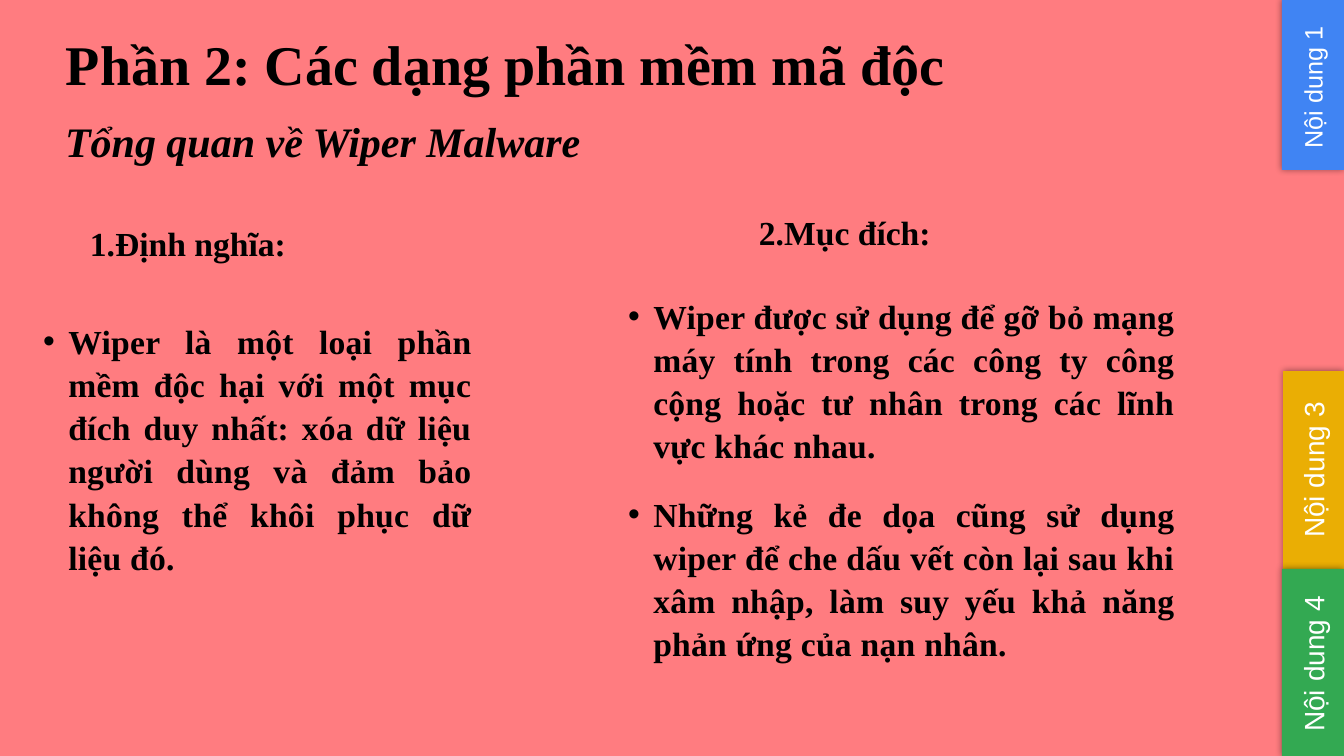
"""Build the Wiper Malware overview slide with its coloured section tabs."""
from lxml.etree import SubElement
from pptx import Presentation
from pptx.dml.color import RGBColor
from pptx.enum.shapes import MSO_SHAPE
from pptx.enum.text import MSO_ANCHOR, MSO_AUTO_SIZE, PP_ALIGN
from pptx.oxml.ns import qn
from pptx.util import Pt

PX = 914400 / 100.8
COLORS = {"bg": "FF7C80", "yellow": "EAAE04", "green": "33A952",
          "blue": "4084F3", "white": "FFFFFF", "black": "000000"}
SERIF, SANS = "Times New Roman", "Arial"


def px(*lengths):
    return [round(n * PX) for n in lengths]


def write(shape, lines, color, align, fonts, spacing=None, bullet=False):
    tf = shape.text_frame
    tf.word_wrap = True
    tf.auto_size = MSO_AUTO_SIZE.NONE
    for i, line in enumerate(lines):
        p = tf.paragraphs[0] if i == 0 else tf.add_paragraph()
        if bullet:
            pPr = p._p.get_or_add_pPr()
            pPr.set("marL", "228600")
            pPr.set("indent", "-228600")
            SubElement(pPr, qn("a:buFont")).set("typeface", SANS)
            SubElement(pPr, qn("a:buChar")).set("char", "•")
            p.space_after = Pt(8)
        p.space_before = Pt(10 if i else 0)
        p.alignment = align
        p.line_spacing = spacing
        r = p.add_run()
        r.text = line
        for name, value in fonts.items():
            setattr(r.font, name, value)
        r.font.color.rgb = RGBColor.from_string(COLORS[color])
        if bullet:
            r.font._element.set("spc", "20")


prs = Presentation()
prs.slide_width, prs.slide_height = px(1344, 756)
s = prs.slides.add_slide(prs.slide_layouts[3])
s.background.fill.solid()
s.background.fill.fore_color.rgb = RGBColor.from_string(COLORS["bg"])

title, left_body, right_body = list(s.placeholders)[:3]
title.left, title.top, title.width, title.height = px(55, 105, 594, 78)
title.text_frame.vertical_anchor = MSO_ANCHOR.MIDDLE
write(title, ["Tổng quan về Wiper Malware"], "black", PP_ALIGN.LEFT,
      {"name": SERIF, "size": Pt(30), "bold": True, "italic": True}, 0.9)

bodies = [
    (left_body, (33, 313, 449, 351), [
        "Wiper là một loại phần mềm độc hại với một mục đích duy nhất: "
        "xóa dữ liệu người dùng và đảm bảo không thể khôi phục dữ liệu đó."]),
    (right_body, (618, 288, 567, 295), [
        "Wiper được sử dụng để gỡ bỏ mạng máy tính trong các công ty "
        "công cộng hoặc tư nhân trong các lĩnh vực khác nhau.",
        "Những kẻ đe dọa cũng sử dụng wiper để che dấu vết còn lại "
        "sau khi xâm nhập, làm suy yếu khả năng phản ứng của nạn nhân."]),
]
for body, box, lines in bodies:
    body.left, body.top, body.width, body.height = px(*box)
    body.text_frame.vertical_anchor = MSO_ANCHOR.TOP
    write(body, lines, "black", PP_ALIGN.JUSTIFY,
          {"name": SERIF, "size": Pt(24), "bold": True}, 1.07, True)

headings = [
    ("Phần 2: Các dạng phần mềm mã độc", 40, (56, 25, 953, 78)),
    ("1.Định nghĩa:", 24, (80, 218, 254, 50)),
    ("2.Mục đích:", 24, (749, 207, 278, 50)),
]
for text, size, box in headings:
    write(s.shapes.add_textbox(*px(*box)), [text], "black", PP_ALIGN.LEFT,
          {"name": SERIF, "size": Pt(size), "bold": True})

tabs = [
    ("Nội dung 3", "yellow", (1283, 371, 61, 198), (1222, 448, 183, 44), 20, PP_ALIGN.CENTER),
    ("Nội dung 4", "green", (1282, 569, 62, 187), (1222, 642, 183, 44), 20, PP_ALIGN.CENTER),
    ("Nội dung 1", "blue", (1282, 0, 62, 170), (1149, -25, 327, 40), 18, PP_ALIGN.LEFT),
]
for text, color, box, label_box, size, align in tabs:
    tab = s.shapes.add_shape(MSO_SHAPE.RECTANGLE, *px(*box))
    tab.fill.solid()
    tab.fill.fore_color.rgb = RGBColor.from_string(COLORS[color])
    tab.line.fill.background()
    tab.shadow.inherit = False
    effects = tab._element.spPr.find(qn("a:effectLst"))
    shadow = SubElement(effects, qn("a:outerShdw"), blurRad=str(Pt(5)), dist="0", dir="0")
    black = SubElement(shadow, qn("a:srgbClr"), val=COLORS["black"])
    SubElement(black, qn("a:alpha"), val="40000")
    label = s.shapes.add_textbox(*px(*label_box))
    label.rotation = 270
    write(label, [text], "white", align, {"name": SANS, "size": Pt(size)})

for ph in list(s.placeholders):
    if not ph.text_frame.text:
        ph._element.getparent().remove(ph._element)

prs.save("out.pptx")
